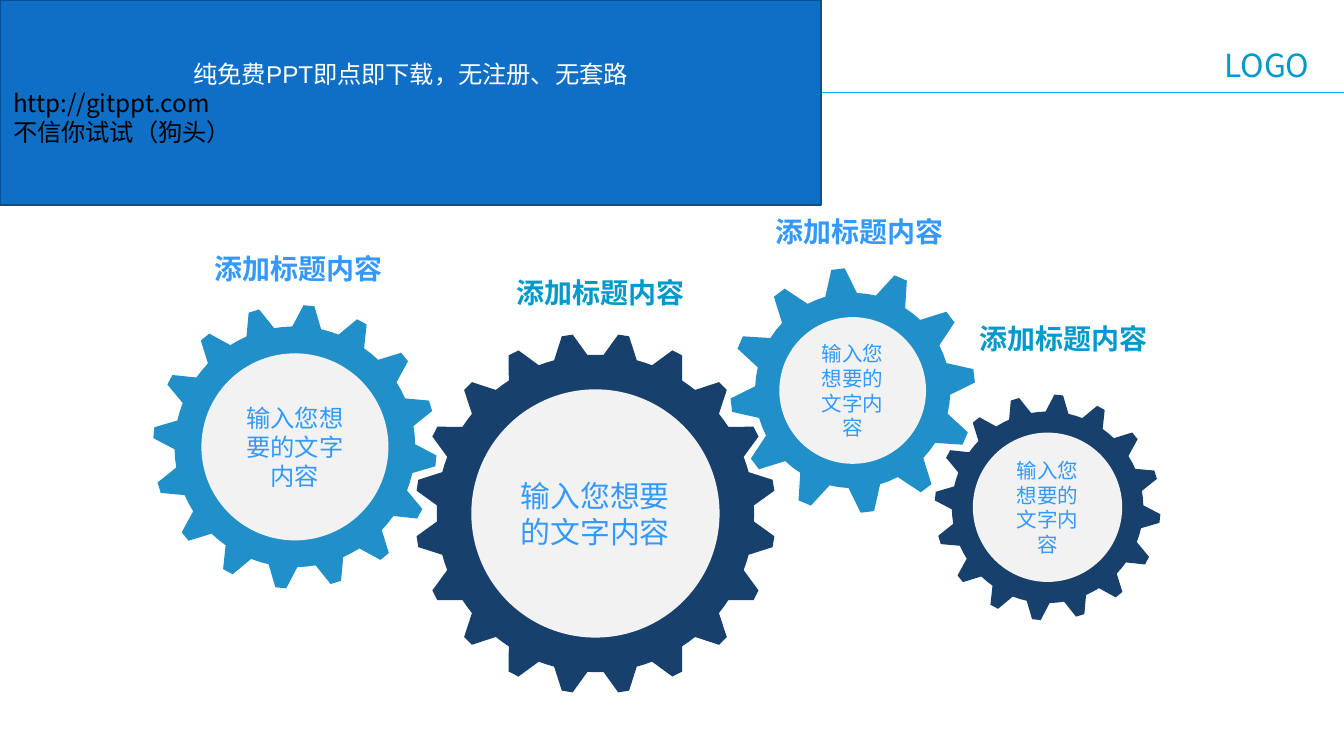
"""Build a slide of four interlocking gears with captions and a banner."""
from dataclasses import dataclass
from math import cos, radians, sin

from lxml import etree
from pptx import Presentation
from pptx.dml.color import RGBColor as RGB
from pptx.enum.shapes import MSO_CONNECTOR as CONN, MSO_SHAPE as SHAPE
from pptx.enum.text import MSO_ANCHOR as ANCHOR, PP_ALIGN as ALIGN
from pptx.oxml.ns import qn
from pptx.util import Pt


@dataclass(frozen=True)
class Theme:
    navy: RGB = RGB.from_string("17406D")
    blue: RGB = RGB.from_string("2190C8")
    disc: RGB = RGB.from_string("F2F2F2")
    sky: RGB = RGB.from_string("3399FF")
    teal: RGB = RGB.from_string("0099CC")
    rule: RGB = RGB.from_string("00B0F0")
    banner: RGB = RGB.from_string("0F6FC6")
    border: RGB = RGB.from_string("085091")
    white: RGB = RGB.from_string("FFFFFF")
    black: RGB = RGB.from_string("000000")
    latin: str = "Arial"
    cjk: str = "Noto Sans CJK SC"
    logo_size: int = 17
    caption_size: int = 15
    banner_size: int = 13


T = Theme()


def write(p, text, size, color, font=T.latin, align=ALIGN.CENTER, bold=False):
    p.add_run().text = text
    p.alignment = align
    p.font.size, p.font.name, p.font.bold = Pt(size), font, bold
    p.font.color.rgb = color


def gear_points(cx, cy, outer, inner, teeth, phase, tip, root):
    step = 360 / teeth
    profile = [(-root, inner), (-tip, outer), (tip, outer), (root, inner), (step / 2, inner)]
    points = []
    for i in range(teeth):
        for offset, radius in profile:
            a = radians(phase + i * step + offset)
            points.append((Pt(cx + radius * sin(a)), Pt(cy - radius * cos(a))))
    return points


prs = Presentation()
prs.slide_width, prs.slide_height = Pt(720), Pt(405)
s = prs.slides.add_slide(prs.slide_layouts[6])

rule = s.shapes.add_connector(CONN.STRAIGHT, Pt(173.5), Pt(49.7), Pt(720), Pt(49.7))
rule.line.color.rgb, rule.line.width = T.rule, Pt(0.75)
etree.SubElement(rule._element.spPr, qn("a:effectLst"))

logo = s.shapes.add_textbox(Pt(648.7), Pt(21), Pt(62), Pt(28))
logo.text_frame.word_wrap = False
write(logo.text_frame.paragraphs[0], "LOGO", T.logo_size, T.teal, T.cjk, ALIGN.LEFT)

gears = [
    ((319, 275.1, 96.6, 85, 20, 9, 1.75, 6.1), T.navy, 66.5, 16),
    ((456.8, 209.2, 65.6, 52.3, 12, -6.9, 3.15, 9.4), T.blue, 39.3, 11),
    ((158, 239.4, 76, 64.5, 16, 5.7, 2.2, 6.9), T.blue, 50.1, 13),
    ((561.2, 271.8, 60.5, 51.3, 16, 5.7, 2.2, 6.9), T.navy, 40, 11),
]
for geometry, color, radius, size in gears:
    points = gear_points(*geometry)
    builder = s.shapes.build_freeform(*points[0])
    builder.add_line_segments(points[1:], close=True)
    gear = builder.convert_to_shape()
    gear.fill.solid()
    gear.fill.fore_color.rgb = color

    cx, cy = geometry[:2]
    disc = s.shapes.add_shape(SHAPE.OVAL, Pt(cx - radius), Pt(cy - radius),
                              Pt(2 * radius), Pt(2 * radius))
    disc.fill.solid()
    disc.fill.fore_color.rgb = T.disc
    for sp in (gear, disc):
        sp.line.fill.background()
        sp.shadow.inherit = False
    tf = disc.text_frame
    tf.word_wrap, tf.vertical_anchor = True, ANCHOR.MIDDLE
    write(tf.paragraphs[0], "输入您想要的文字内容", size, T.sky)

captions = [
    (97.2, 131, 125.3, T.sky, T.cjk),
    (258.5, 144, 126, T.teal, T.latin),
    (514.5, 168.5, 110.2, T.teal, T.latin),
    (397.4, 111.6, 126, T.sky, T.latin),
]
for left, top, width, color, font in captions:
    caption = s.shapes.add_textbox(Pt(left), Pt(top), Pt(width), Pt(25.2))
    caption.text_frame.word_wrap = True
    write(caption.text_frame.paragraphs[0], "添加标题内容", T.caption_size, color, font, bold=True)

banner = s.shapes.add_shape(SHAPE.RECTANGLE, Pt(0), Pt(0), Pt(440), Pt(110))
banner.shadow.inherit = False
banner.fill.solid()
banner.fill.fore_color.rgb = T.banner
banner.line.color.rgb, banner.line.width = T.border, Pt(1.25)
tf = banner.text_frame
tf.word_wrap, tf.vertical_anchor = True, ANCHOR.MIDDLE
write(tf.paragraphs[0], "纯免费PPT即点即下载，无注册、无套路", T.banner_size, T.white)
for text in ("http://gitppt.com", "不信你试试（狗头）"):
    write(tf.add_paragraph(), text, T.banner_size, T.black, T.cjk, ALIGN.LEFT)

prs.save("out.pptx")
